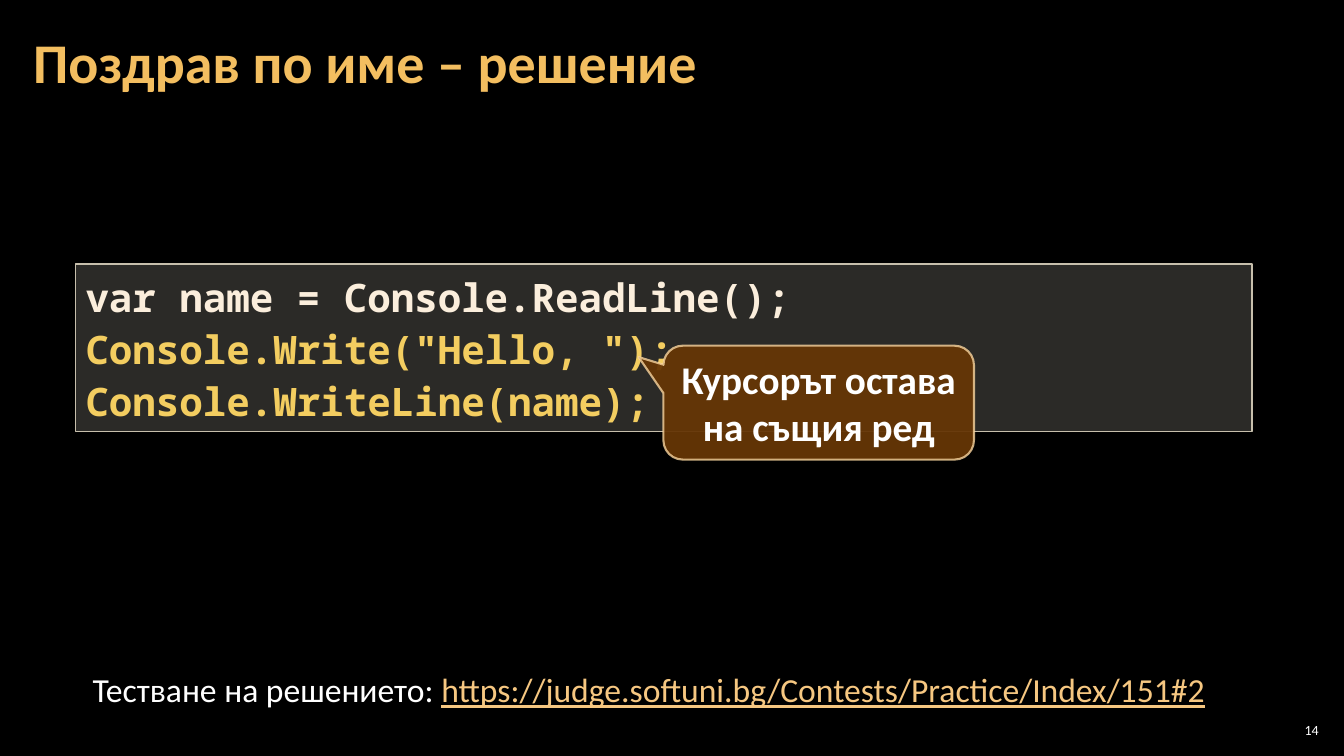
from dataclasses import dataclass

from lxml import etree
from pptx import Presentation
from pptx import util as u
from pptx.dml import color, fill
from pptx.enum import shapes, text
from pptx.oxml import ns
from pptx.shapes import autoshape
from pptx.slide import Slide

BLACK = color.RGBColor(0x00, 0x00, 0x00)
WHITE = color.RGBColor(0xFF, 0xFF, 0xFF)
TITLE_GOLD = color.RGBColor(0xF3, 0xBE, 0x60)
CODE_CREAM = color.RGBColor(0xFB, 0xEE, 0xDC)
CODE_YELLOW = color.RGBColor(0xF3, 0xCD, 0x60)
CODE_FILL = color.RGBColor(0xD9, 0xD5, 0xC7)
CODE_BORDER = color.RGBColor(0xC7, 0xBF, 0xAC)
LINK_GOLD = color.RGBColor(0xF6, 0xC7, 0x81)
CALLOUT_FILL = color.RGBColor(0x66, 0x36, 0x06)
CALLOUT_BORDER = color.RGBColor(0xF8, 0xD4, 0x9E)

BODY_FONT = "Calibri"
CODE_FONT = "Noto Sans Mono"


@dataclass(frozen=True)
class Span:
    words: str
    tint: color.RGBColor = WHITE
    underline: bool = False


@dataclass(frozen=True)
class Look:
    fill: color.RGBColor
    fill_alpha: int
    border: color.RGBColor
    border_alpha: int
    border_width: float


@dataclass(frozen=True)
class Block:
    box: tuple[float, float, float, float]
    paragraphs: list[list[Span]]
    size: int
    font: str = BODY_FONT
    bold: bool = False
    align: text.PP_ALIGN = text.PP_ALIGN.LEFT
    anchor: text.MSO_ANCHOR = text.MSO_ANCHOR.MIDDLE
    spacing: float = 1.0
    insets: tuple[float, float] = (0.1, 0.05)
    look: Look | None = None
    outline: shapes.MSO_SHAPE = shapes.MSO_SHAPE.RECTANGLE
    adjustments: tuple[float, ...] = ()


def paint(target: fill.FillFormat, tint: color.RGBColor, alpha: int) -> None:
    target.solid()
    target.fore_color.rgb = tint
    if alpha < 100:
        swatch = target.fore_color._color._xClr
        etree.SubElement(swatch, ns.qn("a:alpha"), val=str(alpha * 1000))


def write(shape: autoshape.Shape, block: Block) -> None:
    frame = shape.text_frame
    frame.word_wrap = True
    frame.vertical_anchor = block.anchor
    frame.margin_left = frame.margin_right = u.Inches(block.insets[0])
    frame.margin_top = frame.margin_bottom = u.Inches(block.insets[1])
    for index, spans in enumerate(block.paragraphs):
        paragraph = frame.add_paragraph() if index else frame.paragraphs[0]
        paragraph.alignment = block.align
        paragraph.line_spacing = block.spacing
        for span in spans:
            run = paragraph.add_run()
            run.text = span.words
            run.font.name = block.font
            run.font.size = u.Pt(block.size)
            run.font.bold = block.bold
            run.font.underline = span.underline
            run.font.color.rgb = span.tint


def draw(slide: Slide, block: Block) -> None:
    place = [u.Inches(length) for length in block.box]
    if block.look is None:
        shape = slide.shapes.add_textbox(*place)
    else:
        shape = slide.shapes.add_shape(block.outline, *place)
        shape.shadow.inherit = False
        for index, value in enumerate(block.adjustments):
            shape.adjustments[index] = value
        look = block.look
        paint(shape.fill, look.fill, look.fill_alpha)
        paint(shape.line.fill, look.border, look.border_alpha)
        shape.line.width = u.Pt(look.border_width)
    write(shape, block)


BLOCKS = [
    Block((12.65, 7.14, 0.47, 0.21), [[Span("14")]], 10,
          align=text.PP_ALIGN.RIGHT, insets=(0.04, 0.04)),
    Block((0.21, 0.04, 10.47, 1.21),
          [[Span("Поздрав по име – решение", TITLE_GOLD)]], 40,
          bold=True, spacing=0.9, insets=(0.12, 0.04)),
    Block((0.75, 2.62, 11.67, 1.66),
          [[Span("var name = Console.ReadLine();", CODE_CREAM)],
           [Span('Console.Write("Hello, ");', CODE_YELLOW)],
           [Span("Console.WriteLine(name);", CODE_YELLOW)]], 28,
          font=CODE_FONT, bold=True, anchor=text.MSO_ANCHOR.TOP, spacing=1.1,
          look=Look(CODE_FILL, 20, CODE_BORDER, 100, 1)),
    Block((0.82, 6.59, 11.52, 0.91),
          [[Span("Тестване на решението: "),
            Span("https://judge.softuni.bg/Contests/Practice/Index/151#2",
                 LINK_GOLD, underline=True)]], 24,
          anchor=text.MSO_ANCHOR.TOP),
    Block((6.58, 3.43, 3.08, 1.13),
          [[Span("Курсорът остава на същия ред")]], 28,
          bold=True, align=text.PP_ALIGN.CENTER,
          look=Look(CALLOUT_FILL, 95, CALLOUT_BORDER, 80, 1.5),
          outline=shapes.MSO_SHAPE.ROUNDED_RECTANGULAR_CALLOUT,
          adjustments=(-0.58, -0.4, 0.17)),
]


def main() -> None:
    deck = Presentation()
    deck.slide_width = u.Inches(13.33)
    deck.slide_height = u.Inches(7.5)
    slide = deck.slides.add_slide(deck.slide_layouts[6])
    paint(slide.background.fill, BLACK, 100)
    for block in BLOCKS:
        draw(slide, block)
    deck.save("out.pptx")


if __name__ == "__main__":
    main()
